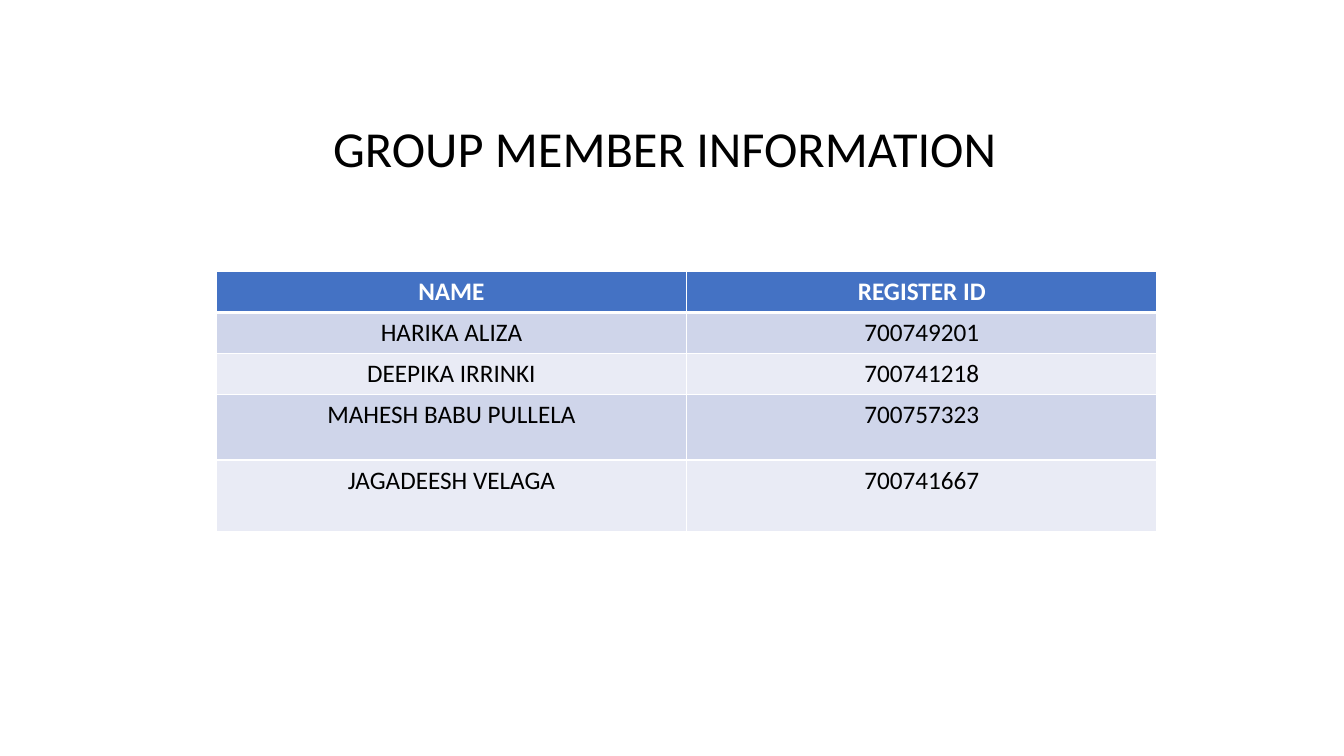
from lxml.etree import SubElement
from pptx import Presentation
from pptx.dml.color import RGBColor
from pptx.enum.text import MSO_ANCHOR, PP_ALIGN
from pptx.oxml.ns import qn
from pptx.util import Pt

# Content
TITLE = "GROUP MEMBER INFORMATION"
MEMBERS = [
    ("NAME", "REGISTER ID"),
    ("HARIKA ALIZA", "700749201"),
    ("DEEPIKA IRRINKI", "700741218"),
    ("MAHESH BABU PULLELA", "700757323"),
    ("JAGADEESH VELAGA", "700741667"),
]
COLORS = {
    "text": "000000",
    "header": "4472C4",
    "header_text": "FFFFFF",
    "odd": "CFD5EA",
    "even": "E9EBF5",
    "border": "FFFFFF",
}
FONT = "Calibri"
ROW_HEIGHTS = [29.2, 29.2, 29.2, 47, 51.2]
COLUMN_WIDTH = 336


def write_text(text_frame, text, size, color, bold=False):
    paragraph = text_frame.paragraphs[0]
    paragraph.alignment = PP_ALIGN.CENTER
    run = paragraph.add_run()
    run.text = text
    run.font.name = FONT
    run.font.size = Pt(size)
    run.font.bold = bold
    run.font.color.rgb = RGBColor.from_string(COLORS[color])
    return paragraph


def add_borders(cell, top, bottom):
    properties = cell._tc.get_or_add_tcPr()
    sides = [("a:lnL", 1), ("a:lnR", 1), ("a:lnT", top), ("a:lnB", bottom)]
    for position, (tag, width) in enumerate(sides):
        line = SubElement(properties, qn(tag), w=str(Pt(width)))
        fill = SubElement(line, qn("a:solidFill"))
        SubElement(fill, qn("a:srgbClr"), val=COLORS["border"])
        properties.insert(position, line)  # borders precede the cell fill


presentation = Presentation()
presentation.slide_width = Pt(960)
presentation.slide_height = Pt(540)
slide = presentation.slides.add_slide(presentation.slide_layouts[5])

# Title
title = slide.shapes.title
title.left, title.top, title.width, title.height = Pt(61), Pt(56), Pt(828), Pt(104.4)
title.text_frame.vertical_anchor = MSO_ANCHOR.MIDDLE
title.text_frame.word_wrap = True
write_text(title.text_frame, TITLE, 36, "text").line_spacing = 0.9

# Member table
columns = len(MEMBERS[0])
table = slide.shapes.add_table(
    len(MEMBERS), columns, Pt(154.5), Pt(194),
    Pt(COLUMN_WIDTH * columns), Pt(sum(ROW_HEIGHTS)),
).table
for column in table.columns:
    column.width = Pt(COLUMN_WIDTH)
for row_index, (member, height) in enumerate(zip(MEMBERS, ROW_HEIGHTS)):
    table.rows[row_index].height = Pt(height)
    is_header = row_index == 0
    fill_color = "header" if is_header else ("even", "odd")[row_index % 2]
    for column_index, text in enumerate(member):
        cell = table.cell(row_index, column_index)
        cell.fill.solid()
        cell.fill.fore_color.rgb = RGBColor.from_string(COLORS[fill_color])
        add_borders(cell, 3 if row_index == 1 else 1, 3 if is_header else 1)
        text_color = "header_text" if is_header else "text"
        write_text(cell.text_frame, text, 18, text_color, is_header)

presentation.save("out.pptx")
